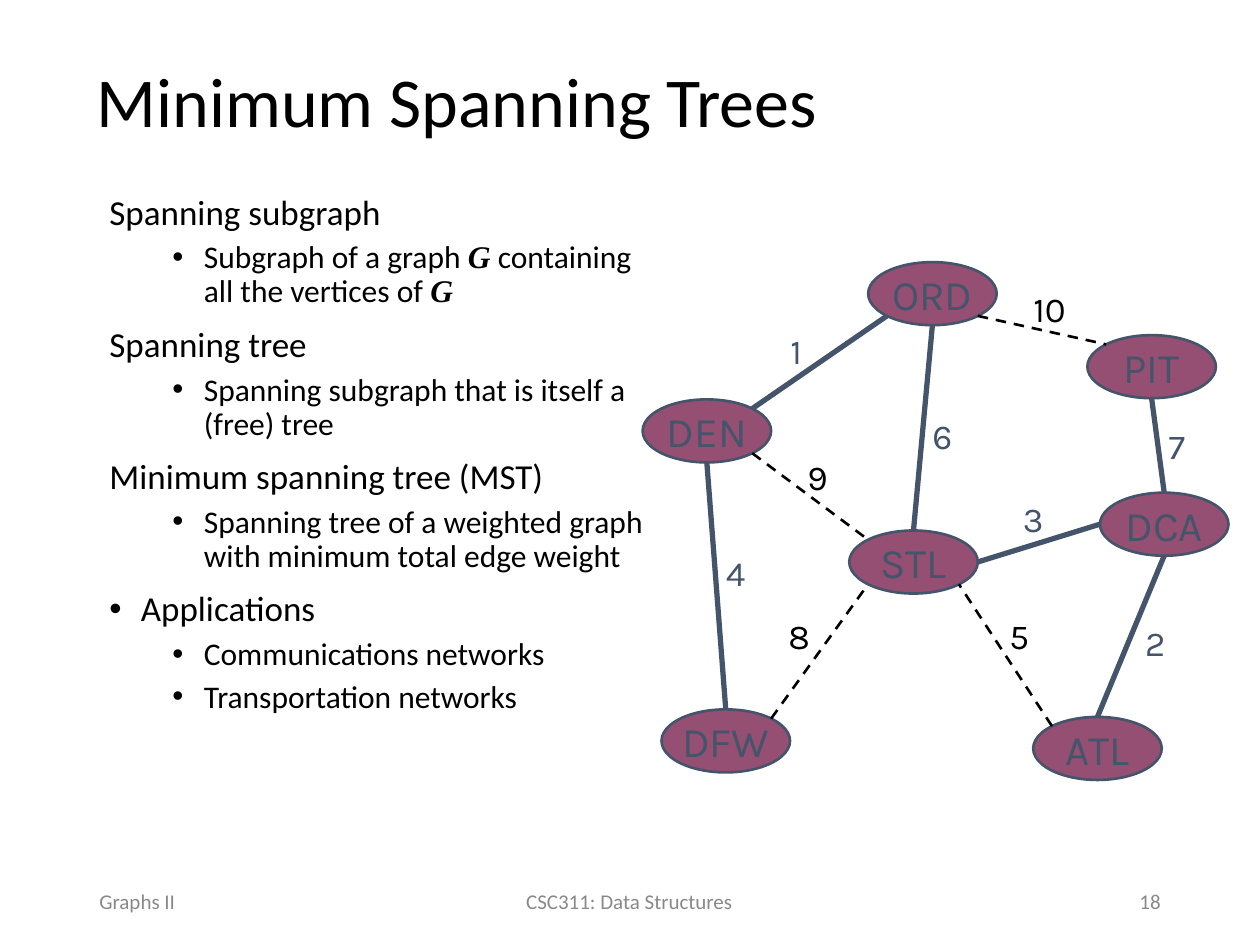
"""Build the slide on minimum spanning trees with its weighted airport graph."""
from dataclasses import dataclass
from math import cos, radians, sin

from lxml import etree
from pptx import Presentation
from pptx import util as u
from pptx.dml.color import RGBColor
from pptx.enum import dml, shapes, text
from pptx.oxml import ns

WIDTH, HEIGHT = u.Inches(10), u.Inches(7.5)
COLORS = {"ink": "000000", "slate": "44546A", "plum": "954F72", "grey": "898989"}
NODE_W, NODE_H = 10.2, 6.67
LABEL_H = 5.87
ANGLES = {"E": 0, "SE": 45, "S": 90, "SW": 135, "W": 180, "NW": 225, "N": 270, "NE": 315}


@dataclass(frozen=True)
class Box:
    """Hold a rectangle in percent of the slide's size."""
    left: float
    top: float
    width: float
    height: float

    def lengths(self) -> tuple:
        return x(self.left), y(self.top), x(self.width), y(self.height)


@dataclass(frozen=True)
class Airport:
    """Hold a vertex by its name and centre."""
    name: str
    cx: float
    cy: float

    def site(self, side: str) -> tuple:
        angle = radians(ANGLES[side])
        return x(self.cx + NODE_W / 2 * cos(angle)), y(self.cy + NODE_H / 2 * sin(angle))


@dataclass(frozen=True)
class Edge:
    """Hold an edge by its ends, weight, label centre and tree membership."""
    start: str
    start_side: str
    end: str
    end_side: str
    weight: int
    cx: float
    cy: float
    in_tree: bool = True


@dataclass(frozen=True)
class Line:
    """Hold one outline line as its runs, level and bullet."""
    runs: tuple
    level: int = 1
    bullet: bool = True


@dataclass(frozen=True)
class Caption:
    """Hold a single line of text with its place and look."""
    words: str
    box: Box
    size: int
    color: str
    align: text.PP_ALIGN


AIRPORTS = {a.name: a for a in (
    Airport("ORD", 74, 31.07), Airport("PIT", 91.4, 38.8), Airport("ATL", 87.1, 79.2),
    Airport("STL", 72.5, 59.47), Airport("DEN", 56.1, 45.6), Airport("DFW", 57.6, 78.4),
    Airport("DCA", 92.4, 55.47),
)}
EDGES = (
    Edge("DEN", "NE", "ORD", "SW", 1, 63.2, 37.2),
    Edge("STL", "N", "ORD", "S", 6, 74.8, 46.13),
    Edge("STL", "E", "DCA", "W", 3, 82, 54.93),
    Edge("DCA", "N", "PIT", "S", 7, 93.4, 47.2),
    Edge("ORD", "SE", "PIT", "NW", 10, 83.3, 32.67, False),
    Edge("DEN", "S", "DFW", "N", 4, 58.4, 60.67),
    Edge("DCA", "S", "ATL", "N", 2, 91.7, 68),
    Edge("ATL", "NW", "STL", "SE", 5, 80.9, 67.33, False),
    Edge("DFW", "NE", "STL", "SW", 8, 63.4, 67.33, False),
    Edge("DEN", "SE", "STL", "NW", 9, 64.9, 50.53, False),
)
OUTLINE = (
    Line(("Spanning subgraph",), 0, False),
    Line(("Subgraph of a graph ", "G", " containing all the vertices of ", "G")),
    Line(("Spanning tree",), 0, False),
    Line(("Spanning subgraph that is itself a (free) tree",)),
    Line(("Minimum spanning tree (MST)",), 0, False),
    Line(("Spanning tree of a weighted graph with minimum total edge weight",)),
    Line(("Applications",), 0),
    Line(("Communications networks",)),
    Line(("Transportation networks",)),
)
OUTLINE_BOX = Box(7.7, 20, 44.7, 72.27)
TITLE = Caption("Minimum Spanning Trees", Box(6.7, 4.4, 89.9, 13.33), 40, "ink", text.PP_ALIGN.LEFT)
FOOTERS = (
    Caption("Graphs II", Box(6.9, 92.67, 22.5, 5.33), 12, "grey", text.PP_ALIGN.LEFT),
    Caption("CSC311: Data Structures", Box(33.1, 92.67, 33.7, 5.33), 12, "grey", text.PP_ALIGN.CENTER),
    Caption("18", Box(70.6, 92.67, 22.5, 5.33), 12, "grey", text.PP_ALIGN.RIGHT),
)


def x(share: float) -> int:
    return round(WIDTH * share / 100)


def y(share: float) -> int:
    return round(HEIGHT * share / 100)


def rgb(name: str) -> RGBColor:
    return RGBColor.from_string(COLORS[name])


def style_run(r, size: int, color: str, font: str) -> None:
    r.font.size, r.font.name = u.Pt(size), font
    r.font.color.rgb = rgb(color)


def set_line(tf, words: str, size: int, color: str, font: str, align, wrap: bool) -> None:
    tf.text = words
    tf.word_wrap = wrap
    p = tf.paragraphs[0]
    p.alignment = align
    style_run(p.runs[0], size, color, font)


def draw_caption(s, caption: Caption) -> None:
    tf = s.shapes.add_textbox(*caption.box.lengths()).text_frame
    tf.vertical_anchor = text.MSO_ANCHOR.MIDDLE
    set_line(tf, caption.words, caption.size, caption.color, "Calibri", caption.align, True)


def set_indent(p, line: Line) -> None:
    pPr = p._p.get_or_add_pPr()
    pPr.set("marL", str(u.Inches(0.25 + 0.5 * line.level)))
    pPr.set("indent", str(u.Inches(-0.25)))
    if line.bullet:
        etree.SubElement(pPr, ns.qn("a:buFont"), typeface="Arial")
        etree.SubElement(pPr, ns.qn("a:buChar"), char="•")
    else:
        etree.SubElement(pPr, ns.qn("a:buNone"))


def draw_outline(s) -> None:
    tf = s.shapes.add_textbox(*OUTLINE_BOX.lengths()).text_frame
    tf.word_wrap = True
    for i, line in enumerate(OUTLINE):
        p = tf.add_paragraph() if i else tf.paragraphs[0]
        p.level, p.line_spacing = line.level, 0.9
        p.space_before = u.Pt(5 if line.level else 10)
        set_indent(p, line)
        for words in line.runs:
            r = p.add_run()
            r.text = words
            symbol = words == "G"
            style_run(r, 18 if line.level else 20, "ink", "Times New Roman" if symbol else "Calibri")
            r.font.bold = r.font.italic = symbol


def draw_airport(s, airport: Airport) -> None:
    box = Box(airport.cx - NODE_W / 2, airport.cy - NODE_H / 2, NODE_W, NODE_H)
    sp = s.shapes.add_shape(shapes.MSO_SHAPE.OVAL, *box.lengths())
    sp.shadow.inherit = False
    sp.fill.solid()
    sp.fill.fore_color.rgb = rgb("plum")
    sp.line.color.rgb, sp.line.width = rgb("slate"), u.Pt(1.5)
    sp.text_frame.vertical_anchor = text.MSO_ANCHOR.MIDDLE
    set_line(sp.text_frame, airport.name, 24, "slate", "Karla", text.PP_ALIGN.CENTER, False)


def draw_edge(s, edge: Edge) -> None:
    start = AIRPORTS[edge.start].site(edge.start_side)
    end = AIRPORTS[edge.end].site(edge.end_side)
    sp = s.shapes.add_connector(shapes.MSO_CONNECTOR.STRAIGHT, *start, *end)
    sp.line.color.rgb = rgb("slate" if edge.in_tree else "ink")
    sp.line.width = u.Pt(3 if edge.in_tree else 1.5)
    if not edge.in_tree:
        sp.line.dash_style = dml.MSO_LINE.DASH
    etree.SubElement(sp._element.spPr, ns.qn("a:effectLst"))


def draw_weight(s, edge: Edge) -> None:
    width = 5.2 if edge.weight > 9 else 3.6
    box = Box(edge.cx - width / 2, edge.cy - LABEL_H / 2, width, LABEL_H)
    tf = s.shapes.add_textbox(*box.lengths()).text_frame
    color = "slate" if edge.in_tree else "ink"
    set_line(tf, str(edge.weight), 20, color, "Karla", text.PP_ALIGN.CENTER, False)


def main() -> None:
    prs = Presentation()
    prs.slide_width, prs.slide_height = WIDTH, HEIGHT
    s = prs.slides.add_slide(prs.slide_layouts[6])
    draw_caption(s, TITLE)
    s.shapes[0].text_frame.paragraphs[0].line_spacing = 0.9
    draw_outline(s)
    for caption in FOOTERS:
        draw_caption(s, caption)
    for airport in AIRPORTS.values():
        draw_airport(s, airport)
    for draw in (draw_edge, draw_weight):
        for edge in EDGES:
            draw(s, edge)
    prs.save("out.pptx")


if __name__ == "__main__":
    main()
